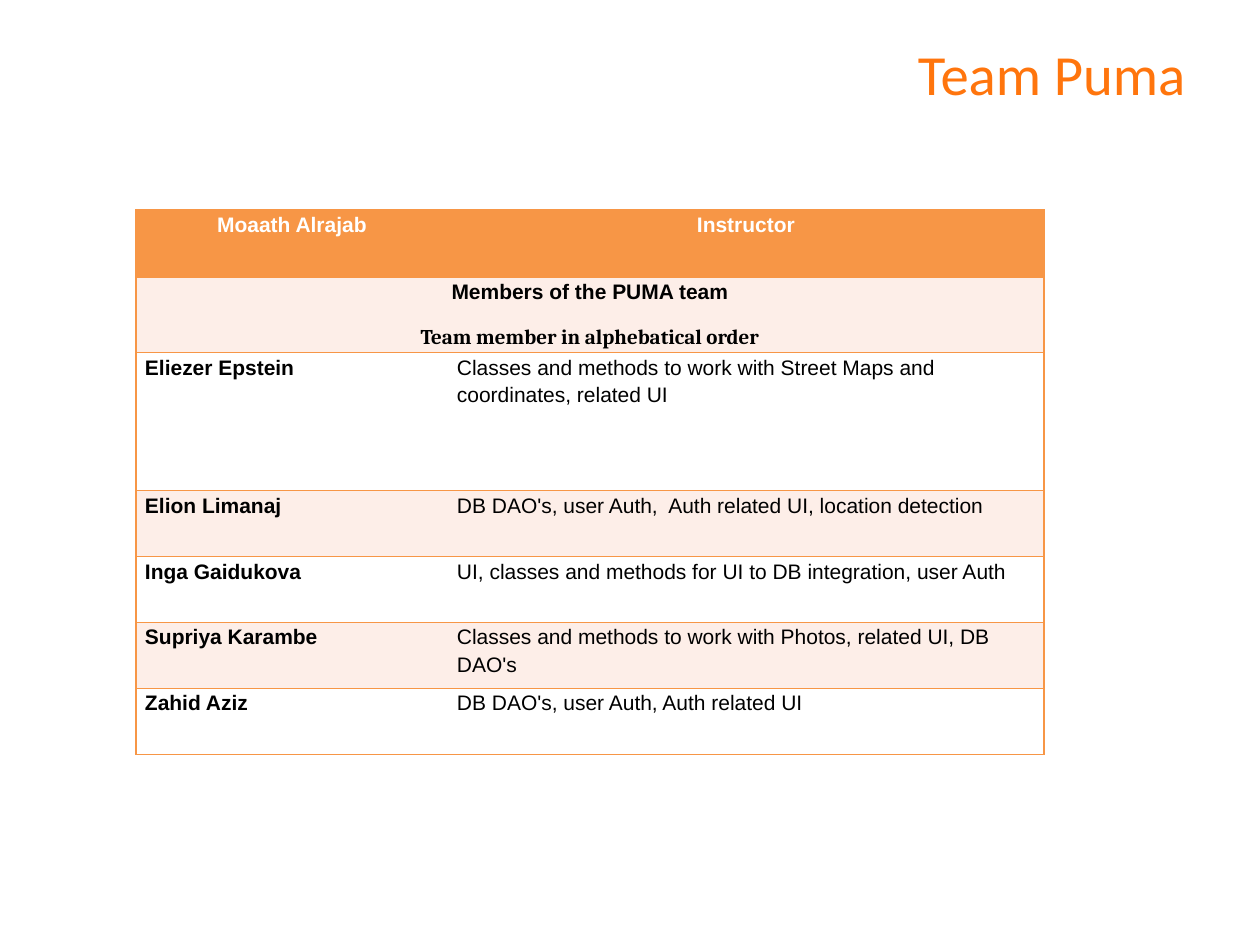
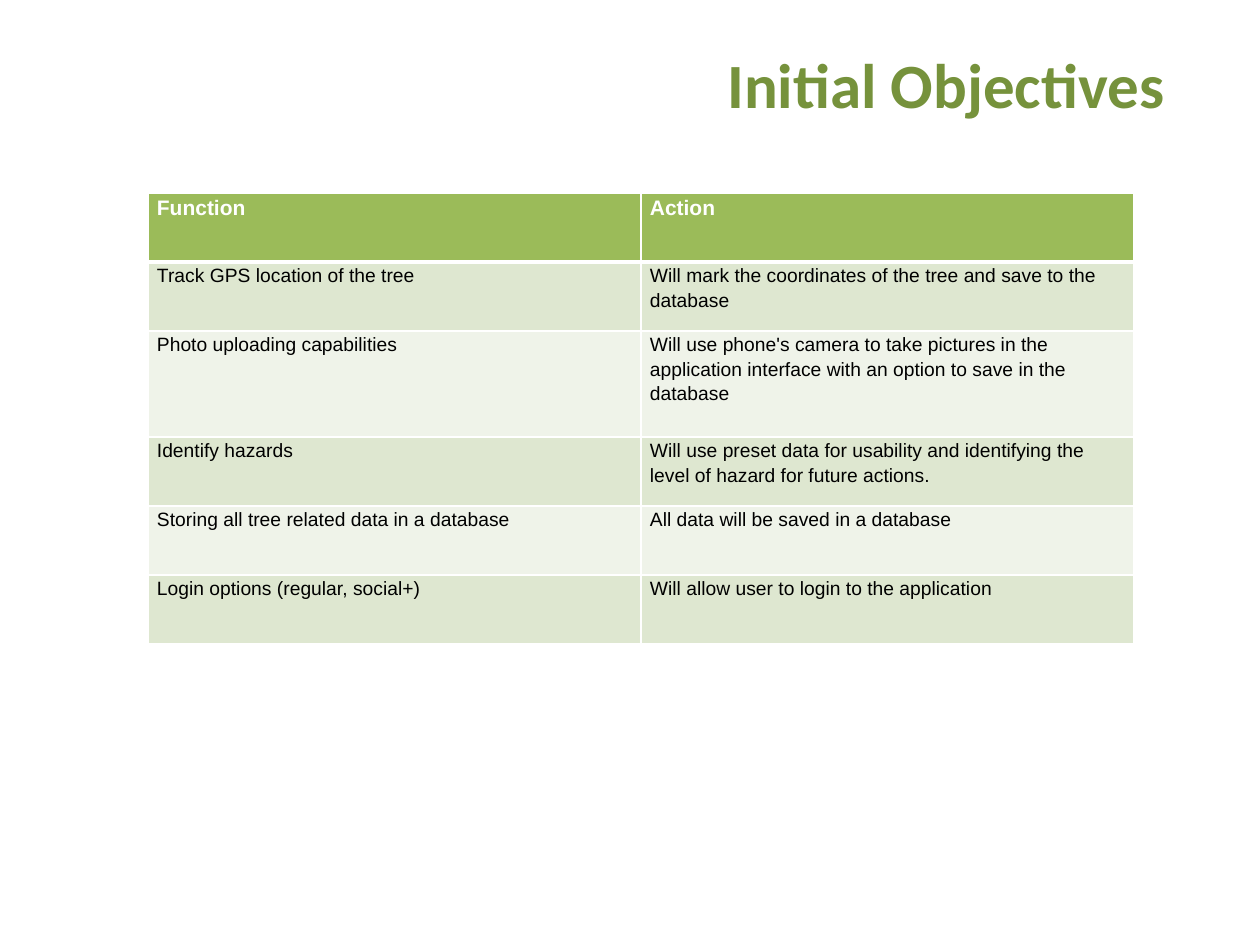
from lxml.etree import SubElement
from pptx import Presentation
from pptx.dml.color import RGBColor
from pptx.enum.text import MSO_ANCHOR as Anchor, PP_ALIGN as Align
from pptx.oxml.ns import qn
from pptx.util import Emu, Pt

PX_PER_INCH = 126
COLORS = {
    "white": "FFFFFF", "black": "000000",
    "title_orange": "FF750D", "orange": "F79646", "pale_orange": "FDEEE8",
    "title_green": "76923C", "green": "9BBB59", "soft_green": "DEE7D0", "pale_green": "EFF3E9",
}
MEMBERS = [
    ("Eliezer Epstein", "Classes and methods to work with Street Maps and coordinates, related UI"),
    ("Elion Limanaj", "DB DAO's, user Auth,  Auth related UI, location detection"),
    ("Inga Gaidukova", "UI, classes and methods for UI to DB integration, user Auth"),
    ("Supriya Karambe", "Classes and methods to work with Photos, related UI, DB DAO's"),
    ("Zahid Aziz", "DB DAO's, user Auth, Auth related UI"),
]
OBJECTIVES = [
    ("Track GPS location of the tree",
     "Will mark the coordinates of the tree and save to the database"),
    ("Photo uploading capabilities",
     "Will use phone's camera to take pictures in the application interface "
     "with an option to save in the database"),
    ("Identify hazards",
     "Will use preset data for usability and identifying the level of hazard for future actions."),
    ("Storing all tree related data in a database", "All data will be saved in a database"),
    ("Login options (regular, social+)", "Will allow user to login to the application"),
]


def px(length):
    return Emu(round(length * 914400 / PX_PER_INCH))


def rgb(name):
    return RGBColor.from_string(COLORS[name])


def write(frame, text, size=12, color="black", bold=False, font="Arial",
          align=Align.LEFT, spacing=1.15, before=0):
    line = frame.add_paragraph() if frame.text else frame.paragraphs[0]
    line.alignment = align
    line.line_spacing = spacing
    if before:
        line.space_before = Pt(before)
    run = line.add_run()
    run.text = text
    run.font.size = Pt(size)
    run.font.name = font
    run.font.bold = bold
    run.font.color.rgb = rgb(color)


def add_title(slide, box, text, **style):
    frame = slide.shapes.add_textbox(*map(px, box)).text_frame
    frame.word_wrap = True
    frame.vertical_anchor = Anchor.MIDDLE
    write(frame, text, font="Calibri", align=Align.RIGHT, spacing=1.0, **style)


def add_grid(slide, left, top, widths, heights):
    table = slide.shapes.add_table(len(heights), len(widths), px(left), px(top),
                                   px(sum(widths)), px(sum(heights))).table
    for column, width in zip(table.columns, widths):
        column.width = px(width)
    for row, height in zip(table.rows, heights):
        row.height = px(height)
    return table


def style_cell(cell, fill, border, widths):
    cell.margin_left = cell.margin_right = px(9)
    cell.margin_top = cell.margin_bottom = 0
    properties = cell._tc.get_or_add_tcPr()
    for side in "LRTB":
        width = widths.get(side, 0)
        edge = SubElement(properties, qn(f"a:ln{side}"), w=str(Pt(width)))
        if width:
            paint = SubElement(edge, qn("a:solidFill"))
            SubElement(paint, qn("a:srgbClr"), val=COLORS[border])
        else:
            SubElement(edge, qn("a:noFill"))
    cell.fill.solid()
    cell.fill.fore_color.rgb = rgb(fill)


def add_team_table(slide, left, top):
    table = add_grid(slide, left, top, [312, 596], [67, 72, 138] + [66] * 4)
    for index, row in enumerate(table.rows):
        fill = "orange" if index == 0 else ("white", "pale_orange")[index % 2]
        for cell, outer in zip(row.cells, "LR"):
            sides = "LRTB" if index == 1 else outer + "TB"
            style_cell(cell, fill, "orange", dict.fromkeys(sides, 1))
    for column, text in enumerate(("Moaath Alrajab", "Instructor")):
        write(table.cell(0, column).text_frame, text, color="white", bold=True,
              align=Align.CENTER)
    heading = table.cell(1, 0)
    heading.merge(table.cell(1, 1))
    write(heading.text_frame, "Members of the PUMA team", bold=True, align=Align.CENTER)
    write(heading.text_frame, "Team member in alphebatical order", bold=True,
          font="Cambria", align=Align.CENTER, before=10)
    for index, (member, duties) in enumerate(MEMBERS, 2):
        write(table.cell(index, 0).text_frame, member, bold=True)
        write(table.cell(index, 1).text_frame, duties)


def add_objectives_table(slide, left, top):
    table = add_grid(slide, left, top, [493, 493], [69, 69, 106] + [69] * 3)
    for index, texts in enumerate([("Function", "Action")] + OBJECTIVES):
        header = index == 0
        fill = "green" if header else ("pale_green", "soft_green")[index % 2]
        edges = {"L": 1, "R": 1, "T": 3 if index == 1 else 1, "B": 3 if header else 1}
        for cell, text in zip(table.rows[index].cells, texts):
            style_cell(cell, fill, "white", edges)
            write(cell.text_frame, text, size=12 if header else 11,
                  color="white" if header else "black", bold=header)


def build_team_slide(slide):
    add_title(slide, (62, 30, 1136, 85), "Team Puma", size=32.4, color="title_orange")
    add_team_table(slide, 136, 210)


def build_objectives_slide(slide):
    add_title(slide, (83, 30, 1094, 106), "Initial Objectives", size=36,
              color="title_green", bold=True)
    add_objectives_table(slide, 148, 193)


def main():
    deck = Presentation()
    deck.slide_width, deck.slide_height = px(1260), px(945)
    for build in (build_team_slide, build_objectives_slide):
        build(deck.slides.add_slide(deck.slide_layouts[6]))
    deck.save("out.pptx")


if __name__ == "__main__":
    main()
